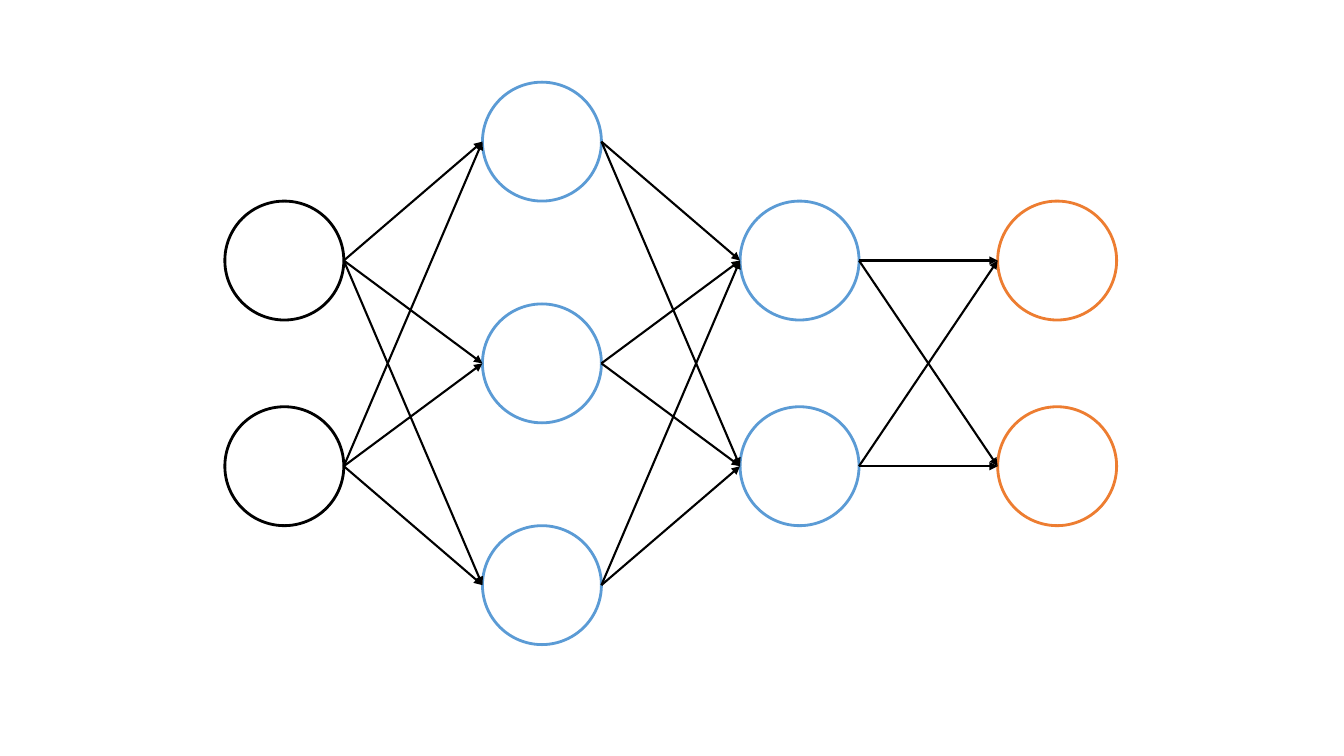
from itertools import pairwise, product

from lxml import etree
from pptx import Presentation
from pptx import util as u
from pptx.dml.color import RGBColor
from pptx.enum import shapes
from pptx.oxml.ns import qn

BLACK = RGBColor(0x00, 0x00, 0x00)
WHITE = RGBColor(0xFF, 0xFF, 0xFF)
BLUE = RGBColor(0x5B, 0x9B, 0xD5)
ORANGE = RGBColor(0xED, 0x7D, 0x31)

SIZE = 1.18           # node diameter
LEFT, COL = 2.23, 2.555  # first column and column pitch
MID = 3.605           # height of the network's axis

# node count, row pitch, outline
LAYERS = [
    (2, 2.04, BLACK),
    (3, 2.2, BLUE),
    (2, 2.04, BLUE),
    (2, 2.04, ORANGE),
]

deck = Presentation()
deck.slide_width, deck.slide_height = u.Inches(13.33), u.Inches(7.5)
slide = deck.slides.add_slide(deck.slide_layouts[6])

net = []
for col, (count, row, color) in enumerate(LAYERS):
    layer = []
    for i in range(count):
        x = LEFT + col * COL
        y = MID + (i - (count - 1) / 2) * row - SIZE / 2
        node = slide.shapes.add_shape(
            shapes.MSO_SHAPE.OVAL, *map(u.Inches, (x, y, SIZE, SIZE)))
        node.shadow.inherit = False
        node.fill.solid()
        node.fill.fore_color.rgb = WHITE
        node.line.color.rgb = color
        node.line.width = u.Pt(2)
        layer.append(node)
    net.append(layer)

# Every node feeds every node of the next layer
for near, far in pairwise(net):
    for a, b in product(near, far):
        link = slide.shapes.add_connector(
            shapes.MSO_CONNECTOR.STRAIGHT,
            a.left + a.width, a.top + a.height // 2,
            b.left, b.top + b.height // 2)
        link.line.color.rgb = BLACK
        link.line.width = u.Pt(1.5)
        props = link.line._get_or_add_ln()
        etree.SubElement(props, qn("a:tailEnd"), type="triangle")
        etree.SubElement(props.getparent(), qn("a:effectLst"))

deck.save("out.pptx")
